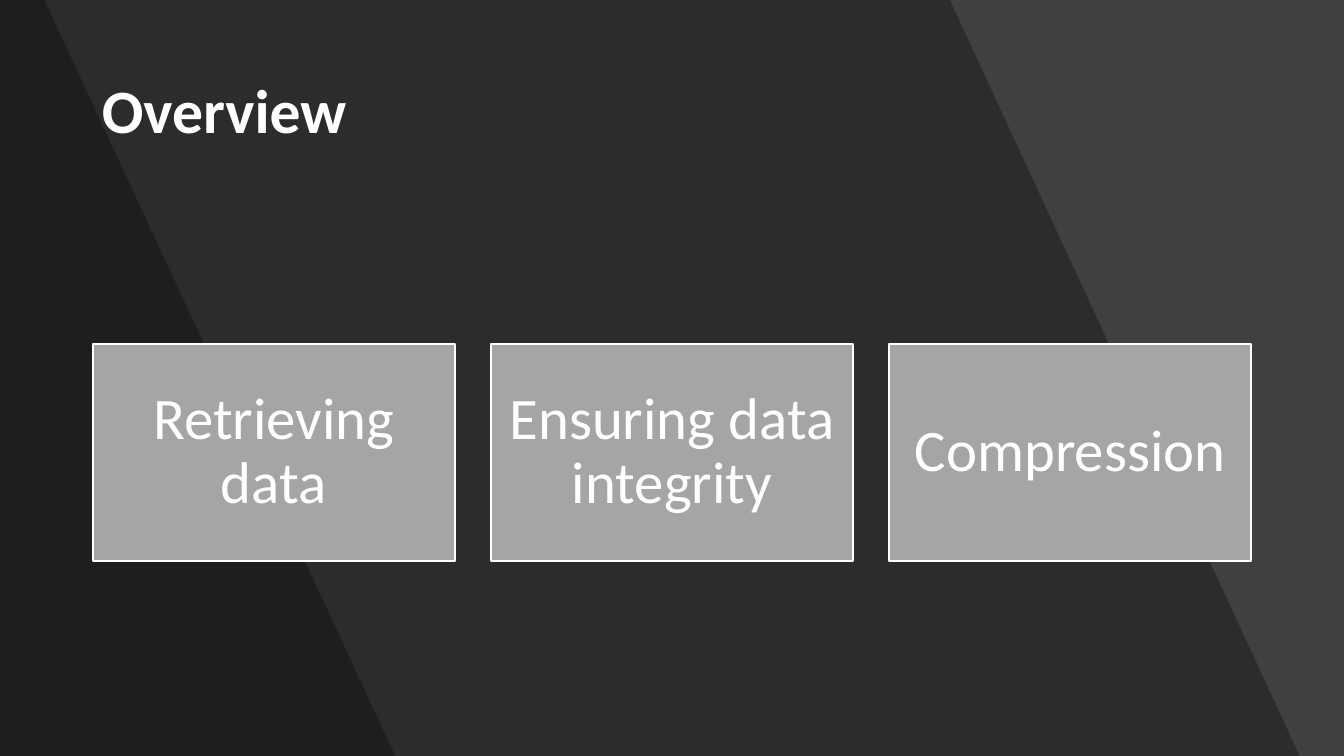
"""Build the Overview slide with three topic cards on a dark banded background."""
import pptx
import pptx.dml.color
import pptx.enum.shapes
import pptx.enum.text
import pptx.oxml.ns
import pptx.util
from lxml import etree

Inches = pptx.util.Inches
RGBColor = pptx.dml.color.RGBColor

BACKDROP = RGBColor(0x40, 0x40, 0x40)
SHADE = RGBColor(0x00, 0x00, 0x00)
CARD = RGBColor(0xA5, 0xA5, 0xA5)
WHITE = RGBColor(0xFF, 0xFF, 0xFF)

SLIDE_WIDTH, SLIDE_HEIGHT = 13.33, 7.5
BANDS = [(9.42, 12.89), (0.44, 3.92)]
TOPICS = ["Retrieving data", "Ensuring data integrity", "Compression"]
CARD_LEFT, CARD_TOP, CARD_WIDTH, CARD_HEIGHT = 0.92, 3.41, 3.59, 2.16
CARD_PITCH = 3.95


class OverviewSlide:
    font_name = "Calibri"
    title_size = 44
    topic_size = 42
    card_inset = 0.17

    def __init__(self, presentation):
        self.slide = presentation.slides.add_slide(presentation.slide_layouts[5])
        background = self.slide.background.fill
        background.solid()
        background.fore_color.rgb = BACKDROP

    def set_text(self, frame, text, size, bold, alignment):
        frame.text = text
        frame.word_wrap = True
        frame.auto_size = pptx.enum.text.MSO_AUTO_SIZE.NONE
        frame.vertical_anchor = pptx.enum.text.MSO_ANCHOR.MIDDLE
        paragraph = frame.paragraphs[0]
        paragraph.alignment = alignment
        paragraph.line_spacing = 0.9
        font = paragraph.runs[0].font
        font.name = self.font_name
        font.size = pptx.util.Pt(size)
        font.bold = bold
        font.color.rgb = WHITE

    def add_band(self, top_right, bottom_right):
        builder = self.slide.shapes.build_freeform(0, 0)
        builder.add_line_segments([
            (Inches(top_right), 0),
            (Inches(bottom_right), Inches(SLIDE_HEIGHT)),
            (0, Inches(SLIDE_HEIGHT)),
        ])
        band = builder.convert_to_shape()
        band.shadow.inherit = False
        band.line.fill.background()
        band.fill.solid()
        band.fill.fore_color.rgb = SHADE
        qn = pptx.oxml.ns.qn
        shade = band.element.spPr.find(qn("a:solidFill")).find(qn("a:srgbClr"))
        etree.SubElement(shade, qn("a:alpha")).set("val", "30000")

    def add_title(self, text):
        title = self.slide.shapes.title
        title.left, title.top = Inches(0.91), Inches(0.4)
        title.width, title.height = Inches(11.51), Inches(1.45)
        self.set_text(title.text_frame, text, self.title_size, True,
                      pptx.enum.text.PP_ALIGN.LEFT)
        title.element.getparent().append(title.element)

    def add_card(self, left, topic):
        card = self.slide.shapes.add_shape(
            pptx.enum.shapes.MSO_SHAPE.RECTANGLE, Inches(left), Inches(CARD_TOP),
            Inches(CARD_WIDTH), Inches(CARD_HEIGHT))
        card.shadow.inherit = False
        card.fill.solid()
        card.fill.fore_color.rgb = CARD
        card.line.color.rgb = WHITE
        card.line.width = pptx.util.Pt(1.5)
        frame = card.text_frame
        frame.margin_left = frame.margin_right = Inches(self.card_inset)
        frame.margin_top = frame.margin_bottom = Inches(self.card_inset)
        self.set_text(frame, topic, self.topic_size, False,
                      pptx.enum.text.PP_ALIGN.CENTER)


def main():
    presentation = pptx.Presentation()
    presentation.slide_width = Inches(SLIDE_WIDTH)
    presentation.slide_height = Inches(SLIDE_HEIGHT)
    overview = OverviewSlide(presentation)
    for top_right, bottom_right in BANDS:
        overview.add_band(top_right, bottom_right)
    overview.add_title("Overview")
    for index, topic in enumerate(TOPICS):
        overview.add_card(CARD_LEFT + index * CARD_PITCH, topic)
    presentation.save("out.pptx")


if __name__ == "__main__":
    main()
